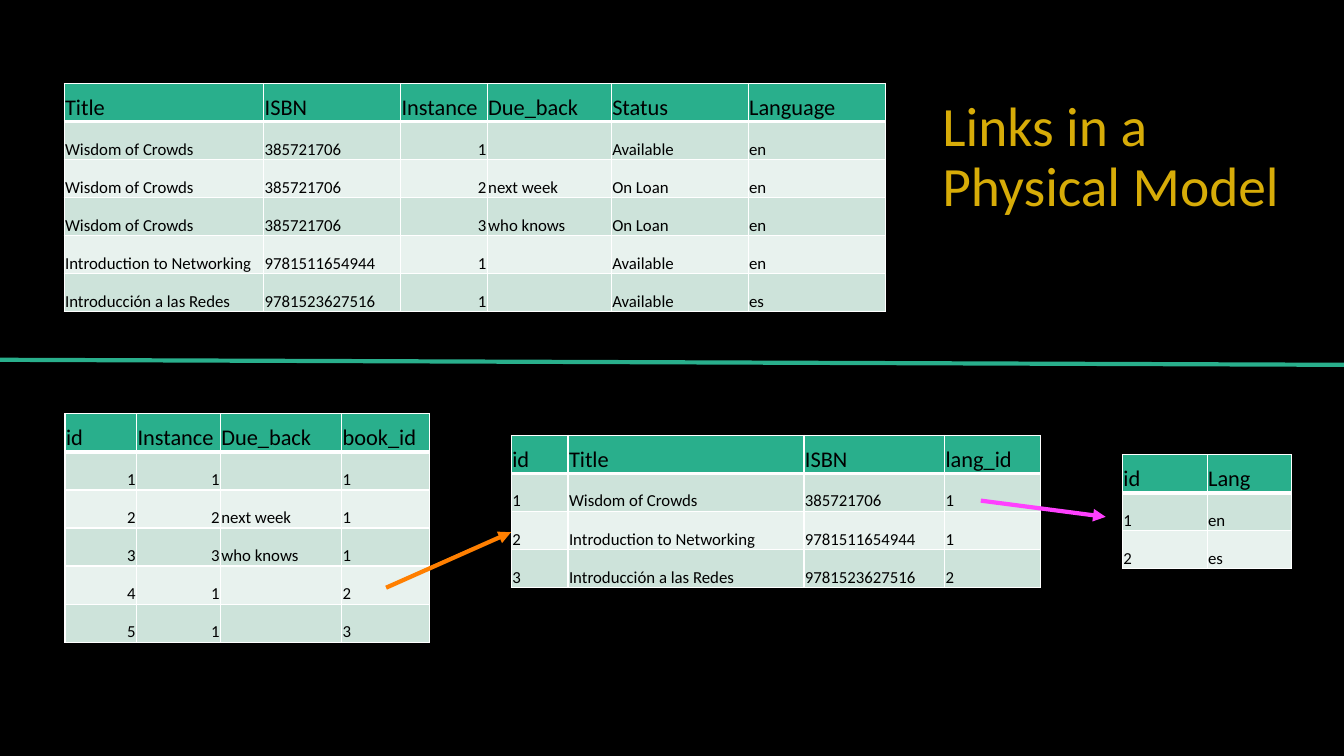
import pptx
import pptx.dml.color
import pptx.enum.shapes
import pptx.enum.text
import pptx.oxml
import pptx.oxml.ns
import pptx.util
from lxml import etree

Pt = pptx.util.Pt
RGBColor = pptx.dml.color.RGBColor
ALIGN = pptx.enum.text.PP_ALIGN
ANCHOR = pptx.enum.text.MSO_ANCHOR

BLACK = RGBColor(0x00, 0x00, 0x00)
WHITE = RGBColor(0xFF, 0xFF, 0xFF)
GREEN = RGBColor(0x29, 0xAF, 0x8C)
BAND_DARK = RGBColor(0xCD, 0xE3, 0xDA)
BAND_LIGHT = RGBColor(0xE8, 0xF2, 0xEE)
GOLD = RGBColor(0xD7, 0xAC, 0x08)
ORANGE = RGBColor(0xFF, 0x7F, 0x00)
PINK = RGBColor(0xFF, 0x40, 0xFF)
FONT = "Calibri"
ROW_HEIGHT = 27.2

# Table contents, header row first
CATALOGUE = [
    ["Title", "ISBN", "Instance", "Due_back", "Status", "Language"],
    ["Wisdom of Crowds", "385721706", "1", "", "Available", "en"],
    ["Wisdom of Crowds", "385721706", "2", "next week", "On Loan", "en"],
    ["Wisdom of Crowds", "385721706", "3", "who knows", "On Loan", "en"],
    ["Introduction to Networking", "9781511654944", "1", "", "Available", "en"],
    ["Introducción a las Redes", "9781523627516", "1", "", "Available", "es"],
]
INSTANCES = [
    ["id", "Instance", "Due_back", "book_id"],
    ["1", "1", "", "1"],
    ["2", "2", "next week", "1"],
    ["3", "3", "who knows", "1"],
    ["4", "1", "", "2"],
    ["5", "1", "", "3"],
]
BOOKS = [
    ["id", "Title", "ISBN", "lang_id"],
    ["1", "Wisdom of Crowds", "385721706", "1"],
    ["2", "Introduction to Networking", "9781511654944", "1"],
    ["3", "Introducción a las Redes", "9781523627516", "2"],
]
LANGUAGES = [["id", "Lang"], ["1", "en"], ["2", "es"]]


def add_run(p, text, size, color):
    r = p.add_run()
    r.text = text
    r.font.name = FONT
    r.font.size = Pt(size)
    r.font.bold = False
    r.font.color.rgb = color


def set_border(cell, side, width):
    tcPr = cell._tc.get_or_add_tcPr()
    ln = etree.SubElement(tcPr, pptx.oxml.ns.qn("a:ln" + side), w=str(Pt(width)))
    fill = etree.SubElement(ln, pptx.oxml.ns.qn("a:solidFill"))
    etree.SubElement(fill, pptx.oxml.ns.qn("a:srgbClr"), val=str(WHITE))


def fill_cell(cell, text, row, right):
    cell.margin_left = cell.margin_right = cell.margin_top = Pt(0.7)
    cell.margin_bottom = Pt(0)
    cell.vertical_anchor = ANCHOR.BOTTOM
    # Heavy rule between the header and the body
    widths = {"L": 1, "R": 1, "T": 3 if row == 1 else 1, "B": 3 if row == 0 else 1}
    for side, width in widths.items():
        set_border(cell, side, width)
    cell.fill.solid()
    if row == 0:
        cell.fill.fore_color.rgb = GREEN
    else:
        cell.fill.fore_color.rgb = BAND_DARK if row % 2 else BAND_LIGHT
    if text:
        p = cell.text_frame.paragraphs[0]
        p.alignment = ALIGN.RIGHT if right and row else ALIGN.LEFT
        add_run(p, text, 12 if row else 16, BLACK)


def add_data_table(s, left, top, widths, rows, right_columns=()):
    frame = s.shapes.add_table(len(rows), len(widths), Pt(left), Pt(top),
                               Pt(sum(widths)), Pt(ROW_HEIGHT * len(rows)))
    table = frame.table
    for column, width in zip(table.columns, widths):
        column.width = Pt(width)
    for i, values in enumerate(rows):
        table.rows[i].height = Pt(ROW_HEIGHT)
        for j, text in enumerate(values):
            fill_cell(table.cell(i, j), text, i, j in right_columns)


def add_line(s, start, end, color, arrow=False):
    line = s.shapes.add_connector(pptx.enum.shapes.MSO_CONNECTOR.STRAIGHT,
                                  *[Pt(v) for v in start + end])
    line.line.color.rgb = color
    line.line.width = Pt(3)
    if arrow:
        ln = line.line._get_or_add_ln()
        etree.SubElement(ln, pptx.oxml.ns.qn("a:tailEnd"), type="triangle")
    etree.SubElement(line._element.spPr, pptx.oxml.ns.qn("a:effectLst"))


def add_title(s, text, left, top, width, height):
    sp = s.shapes.add_textbox(Pt(left), Pt(top), Pt(width), Pt(height))
    tf = sp.text_frame
    tf.word_wrap = True
    tf.vertical_anchor = ANCHOR.MIDDLE
    p = tf.paragraphs[0]
    p.line_spacing = 0.9
    add_run(p, text, 39.6, GOLD)


def main():
    prs = pptx.Presentation()
    prs.slide_width, prs.slide_height = Pt(960), Pt(540)
    s = prs.slides.add_slide(prs.slide_layouts[6])
    s.background.fill.solid()
    s.background.fill.fore_color.rgb = BLACK

    # Single flat table and title
    add_data_table(s, 45.8, 59.6, [142.6, 97.8, 61.9, 88.6, 97.8, 97.8],
                   CATALOGUE, right_columns=(2,))
    add_title(s, "Links in a Physical Model", 666, 61.2, 256.3, 104.4)

    # Divider
    add_line(s, (0, 257), (960, 260.6), GREEN)

    # Linked tables
    add_data_table(s, 46.5, 295.6, [51.1, 59.9, 86.6, 62.8],
                   INSTANCES, right_columns=(0, 1))
    add_data_table(s, 365.3, 311, [40.5, 168.5, 100.5, 68.4], BOOKS)
    add_data_table(s, 801.8, 324.8, [60.5, 60.5], LANGUAGES)

    # Key references
    add_line(s, (275.8, 419.8), (365, 380.2), ORANGE, arrow=True)
    add_line(s, (700.6, 357.6), (789.8, 369.2), PINK, arrow=True)

    prs.save("out.pptx")


main()
